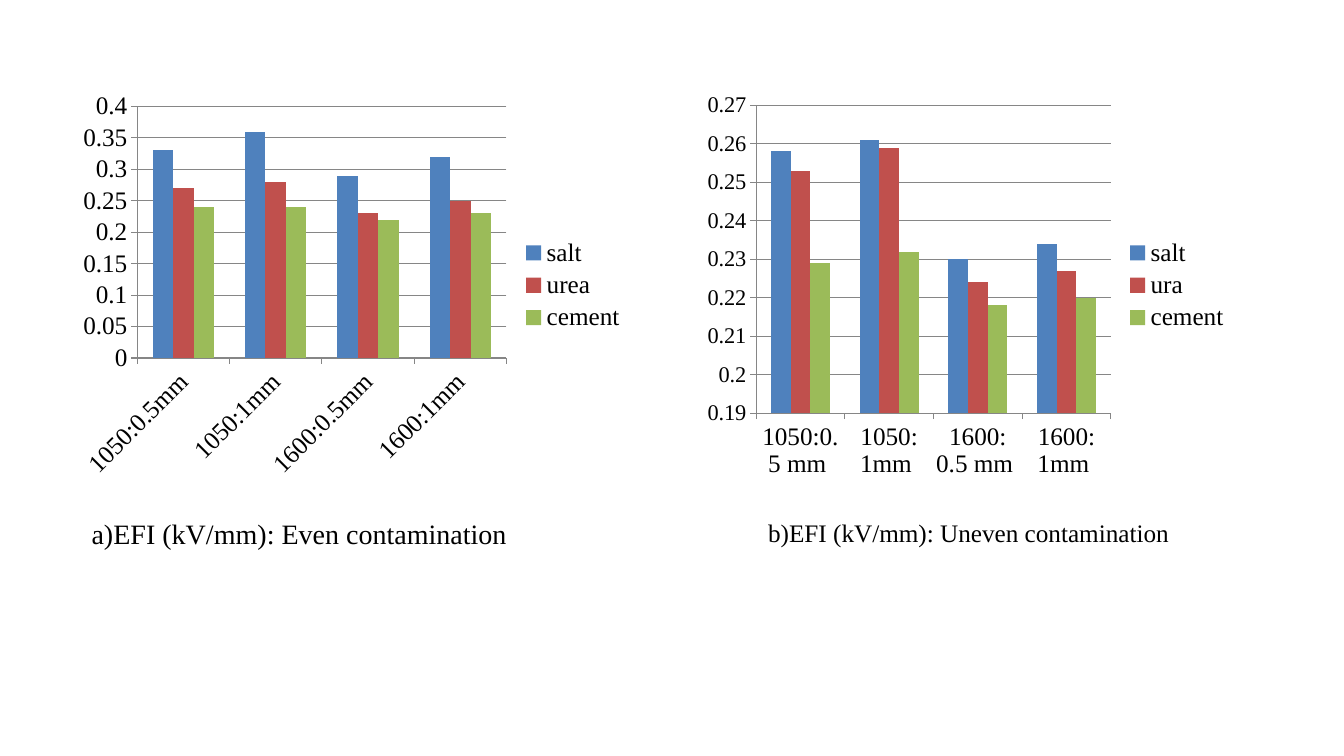
from pptx import Presentation
from pptx.chart.data import CategoryChartData
from pptx.dml.color import RGBColor
from pptx.enum import chart as ch, text
from pptx.util import Inches, Pt

FONT = "Times New Roman"
BLACK = RGBColor(0x00, 0x00, 0x00)
GRAY = RGBColor(0x86, 0x86, 0x86)
SERIES_COLORS = [RGBColor(0x4F, 0x81, 0xBD), RGBColor(0xC0, 0x50, 0x4D),
                 RGBColor(0x9B, 0xBB, 0x59)]


def style_font(font, size):
    font.name = FONT
    font.size = Pt(size)
    font.color.rgb = BLACK


PANELS = [
    {"left": 0.71, "width": 5.6, "scale": (0, 0.4, 0.05), "value_size": 18,
     "label_angle": -45,
     "categories": ["1050:0.5mm", "1050:1mm", "1600:0.5mm", "1600:1mm"],
     "series": {"salt": (0.33, 0.36, 0.29, 0.32),
                "urea": (0.27, 0.28, 0.23, 0.25),
                "cement": (0.24, 0.24, 0.22, 0.23)},
     "caption": "a)EFI (kV/mm): Even contamination",
     "caption_box": (0.81, 4.35, 0.44), "caption_size": 20},
    {"left": 6.91, "width": 5.39, "scale": (0.19, 0.27, 0.01), "value_size": 16,
     "label_angle": None,
     "categories": ["1050:0.5 mm ", "1050: 1mm ", "1600: 0.5 mm ", "1600: 1mm "],
     "series": {"salt": (0.258, 0.261, 0.23, 0.234),
                "ura ": (0.253, 0.259, 0.224, 0.227),
                "cement": (0.229, 0.232, 0.218, 0.22)},
     "caption": "b)EFI (kV/mm): Uneven contamination",
     "caption_box": (7.52, 4.18, 0.4), "caption_size": 18},
]

prs = Presentation()
prs.slide_width = Inches(13.33)
prs.slide_height = Inches(7.5)
s = prs.slides.add_slide(prs.slide_layouts[6])

for panel in PANELS:
    data = CategoryChartData()
    data.categories = panel["categories"]
    for name, values in panel["series"].items():
        data.add_series(name, values)
    chart = s.shapes.add_chart(
        ch.XL_CHART_TYPE.COLUMN_CLUSTERED, Inches(panel["left"]), Inches(0.84),
        Inches(panel["width"]), Inches(3.98), data).chart
    chart.has_title = False
    chart.font.name = "Calibri"
    chart.font.size = Pt(18)
    chart.font.color.rgb = BLACK

    chart.has_legend = True
    chart.legend.position = ch.XL_LEGEND_POSITION.RIGHT
    chart.legend.include_in_layout = False
    style_font(chart.legend.font, 18)

    plot = chart.plots[0]
    plot.gap_width = 150
    plot.vary_by_categories = False
    for series, color in zip(plot.series, SERIES_COLORS):
        series.format.fill.solid()
        series.format.fill.fore_color.rgb = color
        series.invert_if_negative = False

    cat_axis, val_axis = chart.category_axis, chart.value_axis
    for axis, size in ((cat_axis, 18), (val_axis, panel["value_size"])):
        style_font(axis.tick_labels.font, size)
        axis.major_tick_mark = ch.XL_TICK_MARK.OUTSIDE
        axis.format.line.color.rgb = GRAY
        axis.format.line.width = Pt(0.75)
    if panel["label_angle"] is not None:
        body = cat_axis._element.txPr.bodyPr
        body.set("rot", str(panel["label_angle"] * 60000))
        body.set("vert", "horz")
    val_axis.minimum_scale, val_axis.maximum_scale, val_axis.major_unit = panel["scale"]
    val_axis.tick_labels.number_format = "General"
    val_axis.tick_labels.number_format_is_linked = False
    val_axis.has_major_gridlines = True
    val_axis.major_gridlines.format.line.color.rgb = GRAY
    val_axis.major_gridlines.format.line.width = Pt(0.75)

    left, width, height = panel["caption_box"]
    tf = s.shapes.add_textbox(Inches(left), Inches(5.08),
                              Inches(width), Inches(height)).text_frame
    tf.word_wrap = False
    tf.auto_size = text.MSO_AUTO_SIZE.SHAPE_TO_FIT_TEXT
    r = tf.paragraphs[0].add_run()
    r.text = panel["caption"]
    style_font(r.font, panel["caption_size"])

prs.save("out.pptx")
